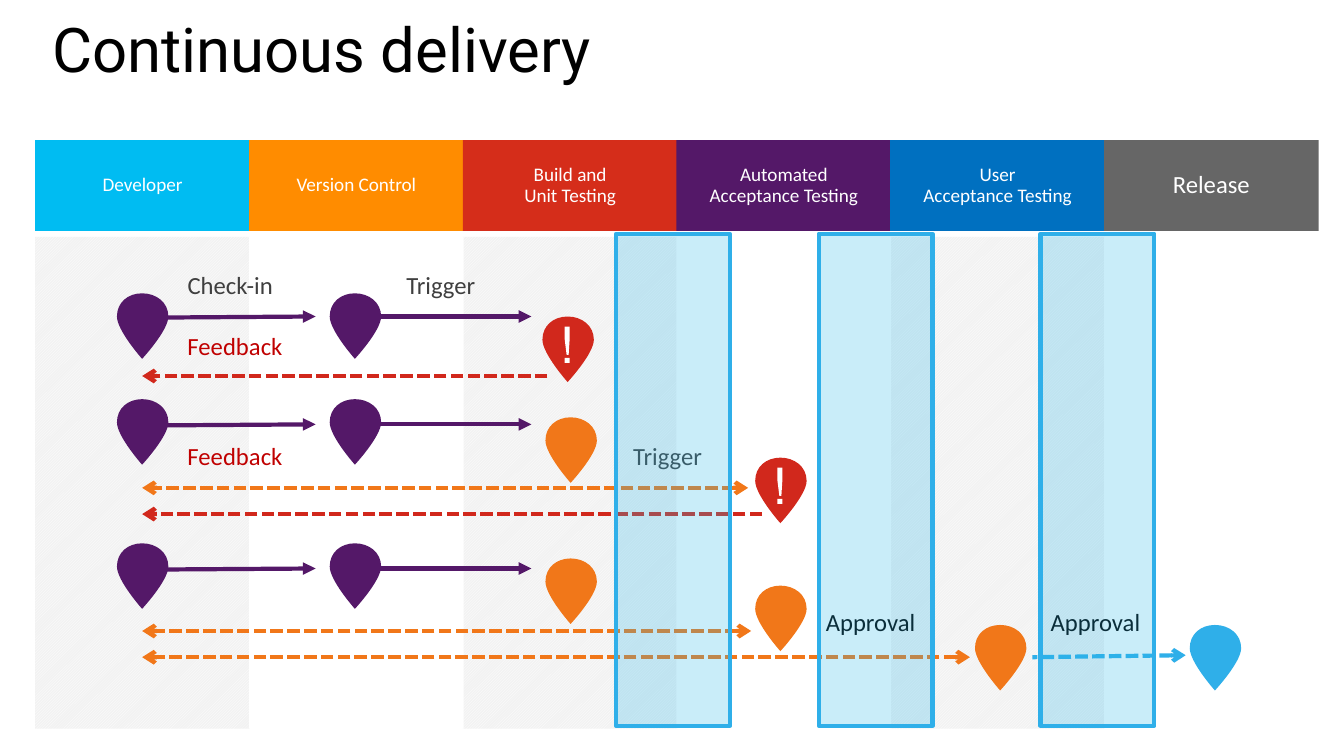
"""Build the continuous delivery pipeline slide."""
from dataclasses import dataclass

from lxml.etree import SubElement
from pptx import Presentation
from pptx.dml.color import RGBColor
from pptx.enum.dml import MSO_LINE, MSO_PATTERN
from pptx.enum.shapes import MSO_CONNECTOR, MSO_SHAPE
from pptx.enum.text import MSO_ANCHOR as Anchor, MSO_AUTO_SIZE as AutoSize, PP_ALIGN as Align
from pptx.oxml.ns import qn
from pptx.util import Inches, Pt

PURPLE, RED, ORANGE, BLUE = "541868", "D1281C", "F17719", "2FAFE9"
WHITE, BLACK, GREY, FEEDBACK = "FFFFFF", "000000", "3F3F3F", "C00000"
LEFT, PITCH = 0.35, 2.12
RIGHT_SIDE, TIP, LEFT_SIDE, CROWN = (0.51, 0.23), (0.25, 0.65), (0, 0.23), (0.25, 0)
PIN_CURVES = [
    ((0.51, 0.37), TIP, TIP),
    (TIP, (0, 0.37), LEFT_SIDE),
    ((0, 0.09), (0.11, 0), CROWN),
    ((0.39, 0), (0.51, 0.09), RIGHT_SIDE),
]
MARK_STROKE = [(0.27, 0.1), (0.22, 0.1), (0.22, 0.22), (0.24, 0.38),
               (0.26, 0.38), (0.27, 0.22), (0.27, 0.1)]
PIN_TOPS, FLOWS = (2.91, 3.96, 5.39), (3.14, 4.21, 5.64)
PADDING = dict(margin_left=Inches(0.2), margin_right=Inches(0.2),
               margin_top=Inches(0.16), margin_bottom=Inches(0.16))


@dataclass
class Stage:
    """A column of the pipeline."""
    name: str
    color: str
    size: float = 13.7


@dataclass
class Label:
    """A caption beside an arrow."""
    text: str
    left: float
    top: float
    width: float
    color: str = GREY


@dataclass
class Pin:
    """A map pin, with an exclamation mark when it is an alert."""
    left: float
    top: float
    color: str
    alert: bool = False


@dataclass
class Arrow:
    """A line with arrowheads at its start, its end or both."""
    start: tuple
    end: tuple
    color: str
    head: str = ""
    tail: str = "arrow"
    dashed: bool = True


STAGES = [
    Stage("Developer", "00BCF2"),
    Stage("Version Control", "FF8C00"),
    Stage("Build and\vUnit Testing", "D52D1A"),
    Stage("Automated Acceptance Testing", PURPLE),
    Stage("User\vAcceptance Testing", "0070C0"),
    Stage("Release", "666666", 17.6),
]
PINS = [Pin(left, top, PURPLE) for left in (1.16, 3.27) for top in PIN_TOPS] + [
    Pin(5.41, 4.14, ORANGE),
    Pin(5.41, 5.54, ORANGE),
    Pin(5.38, 3.14, RED, True),
    Pin(7.49, 4.54, RED, True),
    Pin(7.49, 5.81, ORANGE),
    Pin(9.67, 6.2, ORANGE),
    Pin(11.8, 6.2, BLUE),
]
ARROWS = [
    Arrow((start, flow + drop), (end, flow), PURPLE, tail="triangle", dashed=False)
    for flow in FLOWS for start, end, drop in ((1.65, 3.13, 0.01), (3.73, 5.27, 0))
] + [
    Arrow((5.43, 3.73), (1.41, 3.73), RED),
    Arrow((7.42, 4.84), (1.41, 4.84), ORANGE, head="arrow"),
    Arrow((7.56, 5.1), (1.41, 5.1), RED),
    Arrow((7.45, 6.26), (1.41, 6.26), ORANGE, head="arrow"),
    Arrow((9.62, 6.52), (1.41, 6.52), ORANGE, head="arrow"),
    Arrow((11.76, 6.5), (10.24, 6.52), BLUE, head="arrow", tail=""),
]
LABELS = [
    Label("Check-in", 1.66, 2.58, 1.35),
    Label("Trigger", 3.83, 2.58, 1.18),
    Label("Feedback", 1.66, 3.18, 1.43, FEEDBACK),
    Label("Feedback", 1.66, 4.27, 1.43, FEEDBACK),
    Label("Approval", 7.99, 5.92, 1.38, BLACK),
    Label("Approval", 10.22, 5.92, 1.38, BLACK),
    Label("Trigger", 6.08, 4.27, 1.18),
]
GATES = (8.12, 6.11, 10.32)


def rgb(color: str) -> RGBColor:
    """Turn a hex string into a colour."""
    return RGBColor.from_string(color)


def assign(target, values: dict) -> None:
    """Set attributes from a dict."""
    for name, value in values.items():
        setattr(target, name, value)


def write(frame, text: str, color: str, size: float, font: str = "Calibri", **layout) -> None:
    """Fill a text frame with one formatted paragraph."""
    para = frame.paragraphs[0]
    para.text = text
    assign(para, {"line_spacing": 0.9} | layout)
    for span in para.runs:
        assign(span.font, dict(name=font, size=Pt(size)))
        span.font.color.rgb = rgb(color)


def paint(shape, color: str) -> None:
    """Give a shape a flat fill without line or shadow."""
    shape.shadow.inherit = False
    shape.fill.solid()
    shape.fill.fore_color.rgb = rgb(color)
    shape.line.fill.background()


def draw_box(shapes, left: float, top: float, width: float, height: float, color: str):
    """Draw a flat rectangle."""
    box = shapes.add_shape(MSO_SHAPE.RECTANGLE, *map(Inches, (left, top, width, height)))
    paint(box, color)
    return box


def draw_outline(shapes, points: list, left: float, top: float, color: str):
    """Draw a closed outline whose points are relative to left and top."""
    corners = [(Inches(left + x), Inches(top + y)) for x, y in points]
    builder = shapes.build_freeform(*corners[0])
    builder.add_line_segments(corners[1:], close=True)
    outline = builder.convert_to_shape()
    paint(outline, color)
    return outline


def draw_pin(shapes, pin: Pin) -> None:
    """Draw a curved pin and, for an alert, its exclamation mark in one group."""
    target = shapes.add_group_shape().shapes if pin.alert else shapes
    anchors = [RIGHT_SIDE] + [controls[-1] for controls in PIN_CURVES]
    outline = draw_outline(target, anchors, pin.left, pin.top, pin.color)
    for segment, controls in zip(list(outline.element.iter(qn("a:lnTo"))), PIN_CURVES):
        bend = SubElement(segment.getparent(), qn("a:cubicBezTo"))
        for x, y in controls:
            SubElement(bend, qn("a:pt"), x=str(Inches(x)), y=str(Inches(y)))
        segment.getparent().replace(segment, bend)
    if pin.alert:
        draw_outline(target, MARK_STROKE, pin.left, pin.top, WHITE)
        draw_box(target, pin.left + 0.22, pin.top + 0.41, 0.05, 0.05, WHITE)


def draw_arrow(shapes, arrow: Arrow) -> None:
    """Draw a line with its arrowheads."""
    line = shapes.add_connector(MSO_CONNECTOR.STRAIGHT, *map(Inches, arrow.start + arrow.end))
    line.line.color.rgb = rgb(arrow.color)
    line.line.width = Pt(3)
    if arrow.dashed:
        line.line.dash_style = MSO_LINE.SQUARE_DOT
    properties = line.element.spPr
    for tag, kind in (("a:headEnd", arrow.head), ("a:tailEnd", arrow.tail)):
        if kind:
            SubElement(properties.find(qn("a:ln")), qn(tag), type=kind)
    SubElement(properties, qn("a:effectLst"))


def draw_lane(shapes, index: int) -> None:
    """Draw the area below a header, hatched in every other column."""
    lane = draw_box(shapes, LEFT + index * PITCH, 2.35, 2.13, 4.88, WHITE)
    if index % 2 == 0:
        lane.fill.patterned()
        lane.fill.pattern = MSO_PATTERN.DARK_UPWARD_DIAGONAL
        lane.fill.fore_color.rgb, lane.fill.back_color.rgb = rgb(WHITE), rgb("F2F2F2")


def draw_header(shapes, index: int, stage: Stage) -> None:
    """Draw the coloured header of a column."""
    frame = draw_box(shapes, LEFT + index * PITCH, 1.39, 2.13, 0.9, stage.color).text_frame
    assign(frame, PADDING | dict(word_wrap=True, vertical_anchor=Anchor.MIDDLE))
    write(frame, stage.name, WHITE, stage.size, alignment=Align.CENTER)


def draw_label(shapes, label: Label) -> None:
    """Draw a caption."""
    frame = shapes.add_textbox(*map(Inches, (label.left, label.top, label.width, 0.58))).text_frame
    assign(frame, PADDING | dict(word_wrap=False, auto_size=AutoSize.SHAPE_TO_FIT_TEXT))
    write(frame, label.text, label.color, 17.6, space_after=Pt(5.9))


def draw_gate(shapes, left: float) -> None:
    """Draw a translucent gate between two stages."""
    gate = draw_box(shapes, left, 2.32, 1.13, 4.88, "2BB8EB")
    SubElement(gate.element.spPr.find(".//" + qn("a:srgbClr")), qn("a:alpha"), val="25000")
    gate.line.color.rgb = rgb(BLUE)
    gate.line.width = Pt(3)


deck = Presentation()
assign(deck, dict(slide_width=Inches(13.33), slide_height=Inches(7.5)))
page = deck.slides.add_slide(deck.slide_layouts[5])
title = page.shapes.title
assign(title, dict(left=Inches(0.42), top=Inches(0.2), width=Inches(12.6), height=Inches(1.16)))
assign(title.text_frame, dict(vertical_anchor=Anchor.TOP, auto_size=AutoSize.NONE))
write(title.text_frame, "Continuous delivery", BLACK, 44, "Roboto",
      line_spacing=0.8, alignment=Align.LEFT)
for column in (4, 2, 0, 1, 3, 5):
    draw_lane(page.shapes, column)
for column, stage in enumerate(STAGES):
    draw_header(page.shapes, column, stage)
for draw, items in ((draw_pin, PINS), (draw_arrow, ARROWS),
                    (draw_label, LABELS), (draw_gate, GATES)):
    for item in items:
        draw(page.shapes, item)
deck.save("out.pptx")
